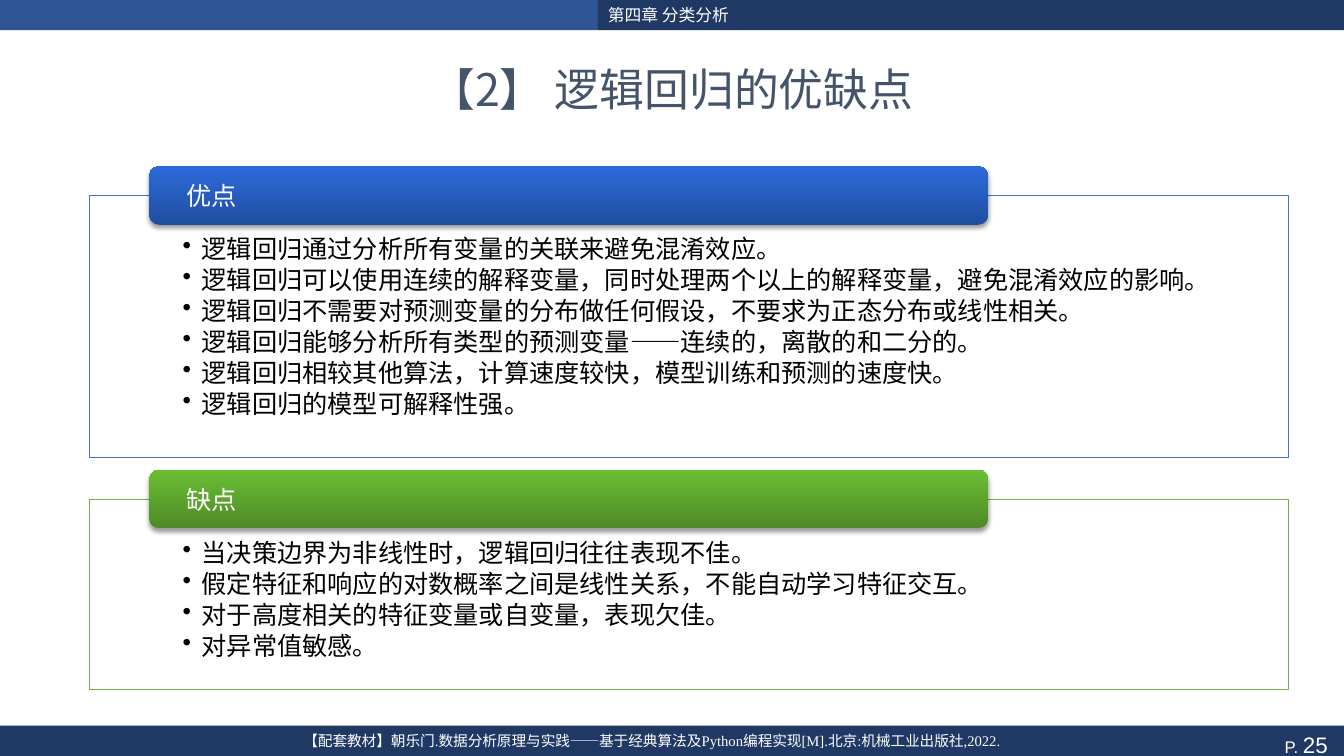
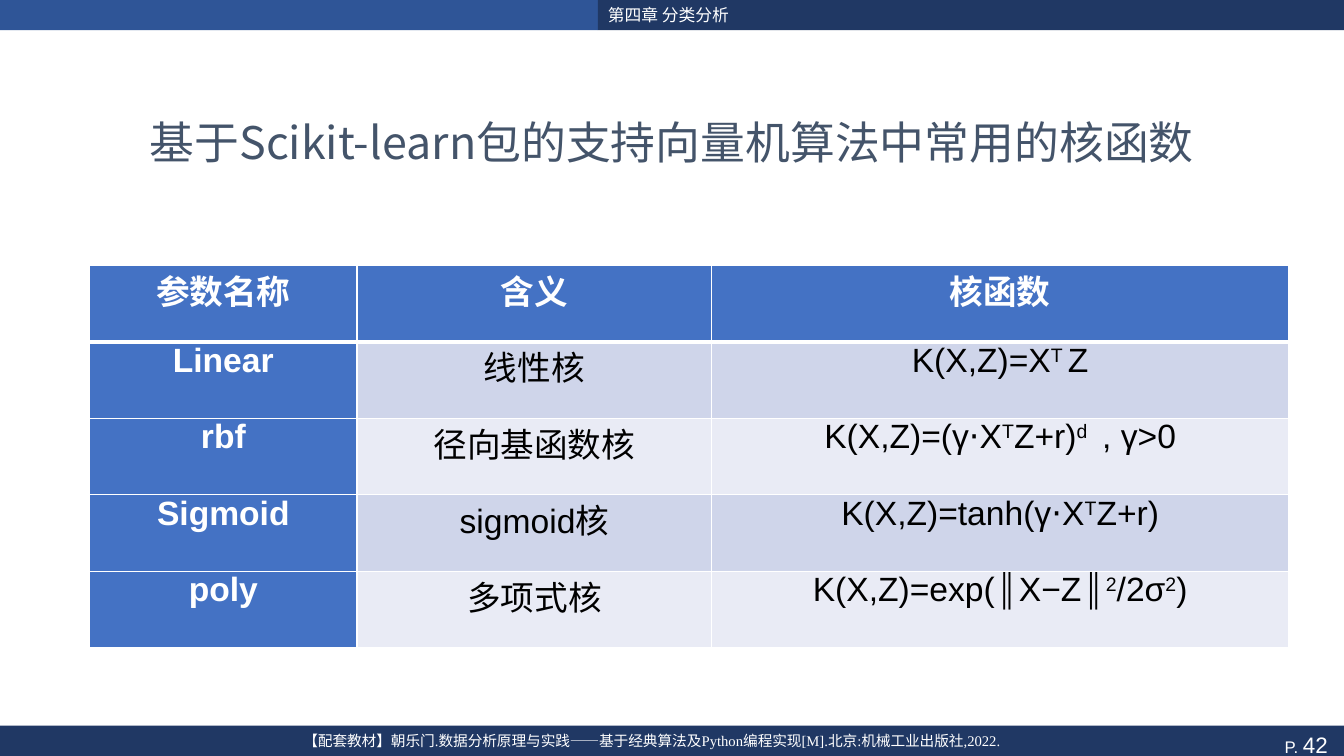
from dataclasses import dataclass

import pptx
import pptx.util
from pptx.dml.color import RGBColor
from pptx.enum.shapes import MSO_SHAPE
from pptx.enum.text import MSO_ANCHOR, PP_ALIGN
from pptx.oxml import parse_xml
from pptx.oxml.ns import nsdecls, qn
from pptx.util import Inches, Pt


@dataclass(frozen=True)
class Theme:
    white: str = "FFFFFF"
    black: str = "000000"
    navy: str = "203864"
    band_blue: str = "2F5597"
    title: str = "44546A"
    blue: str = "4472C4"
    green: str = "70AD47"
    blue_pill: tuple = ("204E9F", "2C6ADA")
    green_pill: tuple = ("4E8B26", "6BBE34")
    stripes: tuple = ("CFD5EA", "E9EBF5")
    sans: str = "Arial"
    serif: str = "Times New Roman"
    cjk: str = "Noto Sans CJK SC"
    title_size: float = 32
    table_size: float = 24
    body_size: float = 18
    page_size: float = 16
    band_size: float = 12
    footer_size: float = 10.5


T = Theme()

WIDTH, HEIGHT = 13.33, 7.5
CHAPTER = "第四章 分类分析"
FOOTER = ("【配套教材】朝乐门.数据分析原理与实践——基于经典算法及Python编程实现[M]."
          "北京:机械工业出版社,2022.")

PROS_CONS = {
    "page": 25,
    "title": "【2】 逻辑回归的优缺点",
    "title_top": 0.43,
    "panels": [
        ("优点", 2.6, T.blue, T.blue_pill, [
            "逻辑回归通过分析所有变量的关联来避免混淆效应。",
            "逻辑回归可以使用连续的解释变量，同时处理两个以上的解释变量，避免混淆效应的影响。",
            "逻辑回归不需要对预测变量的分布做任何假设，不要求为正态分布或线性相关。",
            "逻辑回归能够分析所有类型的预测变量——连续的，离散的和二分的。",
            "逻辑回归相较其他算法，计算速度较快，模型训练和预测的速度快。",
            "逻辑回归的模型可解释性强。",
        ]),
        ("缺点", 1.89, T.green, T.green_pill, [
            "当决策边界为非线性时，逻辑回归往往表现不佳。",
            "假定特征和响应的对数概率之间是线性关系，不能自动学习特征交互。",
            "对于高度相关的特征变量或自变量，表现欠佳。",
            "对异常值敏感。",
        ]),
    ],
}

# Text between ^ marks is superscript.
KERNELS = {
    "page": 42,
    "title": "基于Scikit-learn包的支持向量机算法中常用的核函数",
    "title_top": 0.95,
    "columns": [2.65, 3.52, 5.72],
    "rows": [
        ("参数名称", "含义", "核函数"),
        ("Linear", "线性核", "K(X,Z)=X^T ^Z"),
        ("rbf", "径向基函数核", "K(X,Z)=(γ⋅X^T^Z+r)^d ^ , γ>0"),
        ("Sigmoid", "sigmoid核", "K(X,Z)=tanh(γ⋅X^T^Z+r)"),
        ("poly", "多项式核", "K(X,Z)=exp(∥X−Z∥^2^/2σ^2^)"),
    ],
}

BODY_LEFT, BODY_WIDTH = 0.89, 11.89


def rgb(color):
    return RGBColor.from_string(color)


def add_run(p, text, size, color, font=T.sans, bold=False, superscript=False):
    r = p.add_run()
    r.text = text
    r.font.size = Pt(size)
    r.font.name = font
    r.font.bold = bold
    r.font.color.rgb = rgb(color)
    if superscript:
        r.font._element.set("baseline", "30000")
    return r


def set_margins(target, left, top, right, bottom):
    target.margin_left, target.margin_top = Inches(left), Inches(top)
    target.margin_right, target.margin_bottom = Inches(right), Inches(bottom)


def add_box(s, box, fill, line=None, shape=MSO_SHAPE.RECTANGLE,
            margins=(0.1, 0.05, 0.1, 0.05), anchor=MSO_ANCHOR.TOP):
    sp = s.shapes.add_shape(shape, *map(Inches, box))
    sp.shadow.inherit = False
    if isinstance(fill, tuple):
        sp.fill.gradient()
        sp.fill.gradient_angle = 90
        for stop, color in zip(sp.fill.gradient_stops, fill):
            stop.color.rgb = rgb(color)
    else:
        sp.fill.solid()
        sp.fill.fore_color.rgb = rgb(fill)
    if line:
        sp.line.color.rgb = rgb(line)
        sp.line.width = Pt(0.5)
    else:
        sp.line.fill.background()
    tf = sp.text_frame
    tf.word_wrap = True
    tf.vertical_anchor = anchor
    set_margins(tf, *margins)
    tf.paragraphs[0].alignment = PP_ALIGN.LEFT
    return sp


def add_centred_text(s, box, text, size, color, font, anchor=MSO_ANCHOR.TOP):
    tf = s.shapes.add_textbox(*map(Inches, box)).text_frame
    tf.word_wrap = True
    tf.vertical_anchor = anchor
    p = tf.paragraphs[0]
    p.alignment = PP_ALIGN.CENTER
    return add_run(p, text, size, color, font)


def add_base_slide(prs, content):
    """Add a slide with the bands, footer, page number and title."""
    s = prs.slides.add_slide(prs.slide_layouts[6])
    split = 5.93
    add_box(s, (0, 0, split, 0.3), T.band_blue)
    page = add_box(s, (0, 7.2, WIDTH, 0.37), T.navy, margins=(0.1, 0.05, 0.16, 0.05))
    p = page.text_frame.paragraphs[0]
    p.alignment = PP_ALIGN.RIGHT
    add_run(p, "P. ", T.band_size, T.white)
    add_run(p, str(content["page"]), T.page_size, T.white)
    chapter = add_box(s, (split, 0, WIDTH - split, 0.3), T.navy,
                      margins=(0.1, 0, 0.1, 0), anchor=MSO_ANCHOR.MIDDLE)
    add_run(chapter.text_frame.paragraphs[0], CHAPTER, T.band_size, T.white)
    add_centred_text(s, (0.6, 7.21, 11.73, 0.35), FOOTER, T.footer_size, T.white, T.serif)
    r = add_centred_text(s, (0.44, content["title_top"], 12.45, 0.9), content["title"],
                         T.title_size, T.title, T.cjk, MSO_ANCHOR.MIDDLE)
    r.font._element.append(parse_xml(f'<a:ea {nsdecls("a")} typeface="{T.cjk}"/>'))
    return s


def add_bullet(p, text):
    p.alignment = PP_ALIGN.LEFT
    p.line_spacing = 0.9
    p.space_after = Pt(2.7)
    pPr = p._p.get_or_add_pPr()
    pPr.set("marL", str(Inches(0.19)))
    pPr.set("indent", str(-Inches(0.19)))
    pPr.append(parse_xml(f'<a:buChar {nsdecls("a")} char="•"/>'))
    add_run(p, text, T.body_size, T.black)


def add_drop_shadow(sp):
    effects = sp._element.spPr.find(qn("a:effectLst"))
    effects.append(parse_xml(
        f'<a:outerShdw {nsdecls("a")} blurRad="{Pt(3.1)}" dist="{Pt(2)}" dir="5400000" '
        f'rotWithShape="0"><a:srgbClr val="{T.black}"><a:alpha val="38000"/></a:srgbClr>'
        '</a:outerShdw>'))


def add_panels(s, panels):
    top, gap = 1.94, 0.41
    for heading, height, line, pill_colors, points in panels:
        panel = add_box(s, (BODY_LEFT, top, BODY_WIDTH, height), T.white, line,
                        margins=(0.92, 0.41, 0.92, 0.14))
        tf = panel.text_frame
        for i, point in enumerate(points):
            add_bullet(tf.add_paragraph() if i else tf.paragraphs[0], point)
        pill = add_box(s, (1.48, top - 0.29, 8.32, 0.58), pill_colors,
                       shape=MSO_SHAPE.ROUNDED_RECTANGLE,
                       margins=(0.34, 0, 0.34, 0), anchor=MSO_ANCHOR.MIDDLE)
        add_drop_shadow(pill)
        add_run(pill.text_frame.paragraphs[0], heading, T.body_size, T.white)
        top += height + gap


def set_borders(cell, top, bottom):
    tcPr = cell._tc.get_or_add_tcPr()
    for side, width in (("L", 1), ("R", 1), ("T", top), ("B", bottom)):
        tcPr.append(parse_xml(
            f'<a:ln{side} {nsdecls("a")} w="{Pt(width)}"><a:solidFill>'
            f'<a:srgbClr val="{T.white}"/></a:solidFill></a:ln{side}>'))


def add_kernel_table(s, columns, rows):
    row_height = 0.76
    table = s.shapes.add_table(
        len(rows), len(columns), Inches(BODY_LEFT), Inches(2.63),
        Inches(BODY_WIDTH), Inches(row_height * len(rows))).table
    for column, width in zip(table.columns, columns):
        column.width = Inches(width)
    for i, row in enumerate(rows):
        table.rows[i].height = Inches(row_height)
        for j, text in enumerate(row):
            cell = table.cell(i, j)
            heading = i == 0 or j == 0
            set_borders(cell, top=3 if i == 1 else 1, bottom=3 if i == 0 else 1)
            cell.fill.solid()
            cell.fill.fore_color.rgb = rgb(T.blue if heading else T.stripes[(i - 1) % 2])
            set_margins(cell, 0.23, 0, 0.23, 0)
            p = cell.text_frame.paragraphs[0]
            p.alignment = PP_ALIGN.CENTER
            for k, part in enumerate(text.split("^")):
                add_run(p, part, T.table_size, T.white if heading else T.black,
                        bold=heading, superscript=k % 2 == 1)


def main():
    prs = pptx.Presentation()
    prs.slide_width, prs.slide_height = Inches(WIDTH), Inches(HEIGHT)
    add_panels(add_base_slide(prs, PROS_CONS), PROS_CONS["panels"])
    add_kernel_table(add_base_slide(prs, KERNELS), KERNELS["columns"], KERNELS["rows"])
    prs.save("out.pptx")


if __name__ == "__main__":
    main()
